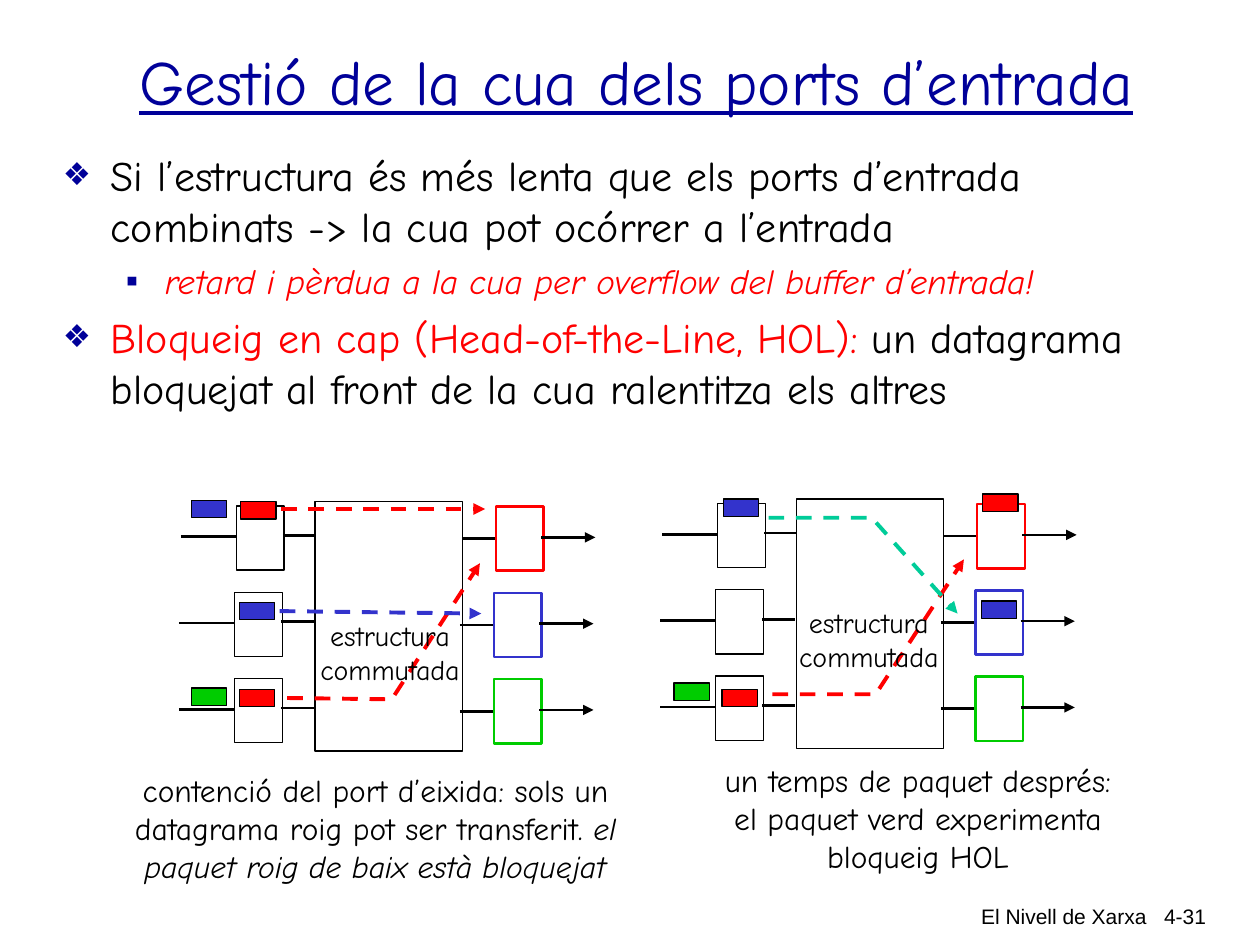
from dataclasses import dataclass
from typing import NamedTuple

from lxml import etree
from pptx import Presentation
from pptx import util as u
from pptx.dml.color import RGBColor
from pptx.enum import dml, shapes, text
from pptx.oxml.ns import qn


@dataclass(frozen=True)
class Theme:
    ink: str = "000000"
    paper: str = "FFFFFF"
    navy: str = "000099"
    red: str = "FF0000"
    blue: str = "3333CC"
    green: str = "00CC00"
    teal: str = "00CC99"
    face: str = "Comic Neue"
    plain: str = "Arial"
    title: int = 36
    body: int = 24
    sub: int = 20
    note: int = 18
    label: int = 16
    foot: int = 12
    thin: float = 0.75
    wire: float = 1.5
    route: float = 2.25


class Run(NamedTuple):
    words: str
    size: int
    color: str = "000000"
    italic: bool = False
    under: bool = False
    face: str = "Comic Neue"


class Box(NamedTuple):
    x: float
    y: float
    w: float
    h: float


class Mark(NamedTuple):
    sign: str
    left: float
    hang: float
    share: int
    gap: int


class Packet(NamedTuple):
    x: float
    y: float
    color: str


class Route(NamedTuple):
    color: str
    pts: list


class Panel(NamedTuple):
    x: float
    y: float
    label: Box
    packets: list
    routes: list


T = Theme()
MID, RIGHT = text.PP_ALIGN.CENTER, text.PP_ALIGN.RIGHT

deck = Presentation()
deck.slide_width, deck.slide_height = u.Inches(10), u.Inches(7.5)
slide = deck.slides.add_slide(deck.slide_layouts[5])
CELL = deck.slide_width // 100  # the slide is a grid of 100 columns by 75 rows


def grid(*cells: float) -> list:
    return [u.Emu(round(n * CELL)) for n in cells]


def rgb(code: str) -> RGBColor:
    return RGBColor.from_string(code)


# Text
def write(para, runs: list) -> None:
    for item in runs:
        run = para.add_run()
        run.text = item.words
        font = run.font
        font.name, font.size = item.face, u.Pt(item.size)
        font.color.rgb = rgb(item.color)
        font.italic, font.underline = item.italic, item.under


def note(box: Box, paras: list, align=None, wrap: bool = True):
    shape = slide.shapes.add_textbox(*grid(*box))
    frame = shape.text_frame
    frame.word_wrap = wrap
    for i, runs in enumerate(paras):
        para = frame.add_paragraph() if i else frame.paragraphs[0]
        para.alignment = align
        write(para, runs)
    return frame


def bullet(para, mark: Mark) -> None:
    props = para._p.get_or_add_pPr()
    left, hang = grid(mark.left, mark.hang)
    props.set("marL", str(left))
    props.set("indent", str(-hang))
    tint = etree.SubElement(props, qn("a:buClr"))
    etree.SubElement(tint, qn("a:srgbClr"), val=T.navy)
    etree.SubElement(props, qn("a:buSzPct"), val=str(mark.share * 1000))
    etree.SubElement(props, qn("a:buFont"), typeface=T.plain)
    etree.SubElement(props, qn("a:buChar"), char=mark.sign)
    para.space_before = u.Pt(mark.gap)


# Shapes and lines
def block(box: Box, fill: str, edge: str = T.ink, width: float = T.thin) -> None:
    shape = slide.shapes.add_shape(shapes.MSO_SHAPE.RECTANGLE, *grid(*box))
    shape.shadow.inherit = False
    shape.fill.solid()
    shape.fill.fore_color.rgb = rgb(fill)
    shape.line.color.rgb = rgb(edge)
    shape.line.width = u.Pt(width)


def stroke(pts: list, color: str = T.ink, width: float = T.wire,
           dash: bool = False, arrow: bool = False) -> None:
    ends = [grid(*pt) for pt in pts]
    if len(ends) == 2:
        shape = slide.shapes.add_connector(
            shapes.MSO_CONNECTOR.STRAIGHT, *ends[0], *ends[1])
        etree.SubElement(shape._element.spPr, qn("a:effectLst"))
    else:
        pen = slide.shapes.build_freeform(*ends[0])
        pen.add_line_segments(ends[1:], close=False)
        shape = pen.convert_to_shape()
        shape.shadow.inherit = False
        shape.fill.background()
    shape.line.color.rgb = rgb(color)
    shape.line.width = u.Pt(width)
    if dash:
        shape.line.dash_style = dml.MSO_LINE.DASH
    if arrow:
        etree.SubElement(shape.line._get_or_add_ln(), qn("a:tailEnd"), type="triangle")


# One switch: fabric, three input ports, three output ports and their wires
def switch(panel: Panel) -> None:
    x, y = panel.x, panel.y
    block(Box(x + 10.8, y, 11.7, 19.8), T.paper)
    for row, color in enumerate((T.red, T.blue, T.green)):
        top = y + 0.35 + 6.85 * row
        side = x + (0 if row else 0.15)
        block(Box(side + 4.4, top, 3.8, 5.1), T.paper)
        block(Box(side + 25, top + 0.05, 3.8, 5.1), T.paper, color, T.wire)
        for start, end, drop in ((0, 4.4, 2.45), (8.1, 10.7, 2.35), (22.3, 24.9, 2.6)):
            stroke([(side + start, top + drop), (side + end, top + drop)])
        stroke([(side + 28.6, top + 2.5), (side + 32.9, top + 2.5)], arrow=True)
    for item in panel.packets:
        block(Box(item.x, item.y, 2.8, 1.4), item.color)
    for way in panel.routes:
        stroke(way.pts, way.color, T.route, dash=True, arrow=True)
    note(panel.label, [[Run(word, T.label)] for word in ("estructura", "commutada")],
         MID, wrap=False)


# Title
title = slide.shapes.title
title.left, title.top, title.width, title.height = grid(5.4, 2.6, 90.2, 7.5)
title.text_frame.vertical_anchor = text.MSO_ANCHOR.MIDDLE
head = title.text_frame.paragraphs[0]
head.alignment = MID
write(head, [Run("Gestió de la cua dels ports d’entrada", T.title, T.navy, under=True)])

# Bullets
points = [
    [Run("Si l’estructura és més lenta que els ports d’entrada combinats"
         " -> la cua pot ocórrer a l’entrada", T.body)],
    [Run("retard i pèrdua a la cua per overflow del buffer d’entrada!",
         T.sub, T.red, italic=True)],
    [Run("Bloqueig en cap (Head-of-the-Line, HOL):", T.body, T.red),
     Run(" un datagrama bloquejat al front de la cua ralentitza els altres", T.body)],
]
main = Mark("❖", 3.8, 3.8, 75, 6)
marks = [main._replace(gap=0), Mark("▪", 8.1, 3.1, 100, 5), main]
body = note(Box(4, 11.4, 92.6, 29), points)
for para, mark in zip(body.paragraphs, marks):
    bullet(para, mark)
body.paragraphs[1].level = 1

# Switches: now, and one packet time later
now = Panel(
    14.2, 39.8, Box(24.4, 48.6, 13.1, 6.4),
    [Packet(19.1, 39.8, T.red), Packet(19, 47.8, T.blue), Packet(19, 54.7, T.red),
     Packet(15.2, 39.7, T.blue), Packet(15.2, 54.6, T.green)],
    [Route(T.red, [(22.3, 40.4), (38.5, 40.4)]),
     Route(T.red, [(22.8, 55.4), (31.1, 55.5), (38.1, 44.7)]),
     Route(T.blue, [(22.2, 48.5), (38.2, 48.7)])])
later = Panel(
    52.4, 39.6, Box(62.4, 47.6, 13.1, 6.4),
    [Packet(78, 39.2, T.red), Packet(57.4, 39.6, T.blue), Packet(57.3, 54.7, T.red),
     Packet(53.5, 54.2, T.green), Packet(77.9, 47.7, T.blue)],
    [Route(T.red, [(61.3, 55.1), (69.5, 55.1), (76.5, 44.4)]),
     Route(T.teal, [(61, 41.1), (69.2, 41.1), (76, 48.7)])])
for panel in (now, later):
    switch(panel)

# Captions
note(Box(8.8, 60.7, 42, 10), [[
    Run("contenció del port d’eixida: sols un datagrama roig pot ser transferit. ", T.note),
    Run("el paquet roig de baix està bloquejat", T.note, italic=True)]], MID)
note(Box(56.1, 59.9, 33.5, 10), [[
    Run("un temps de paquet després: el paquet verd experimenta bloqueig HOL",
        T.note)]], MID)

# Footer
note(Box(60.3, 71.2, 31.7, 4.1), [[Run("El Nivell de Xarxa", T.foot, face=T.plain)]], RIGHT)
note(Box(89.3, 71.2, 7.4, 3.8), [[Run("4-31", T.foot, face=T.plain)]], RIGHT)

deck.save("out.pptx")
